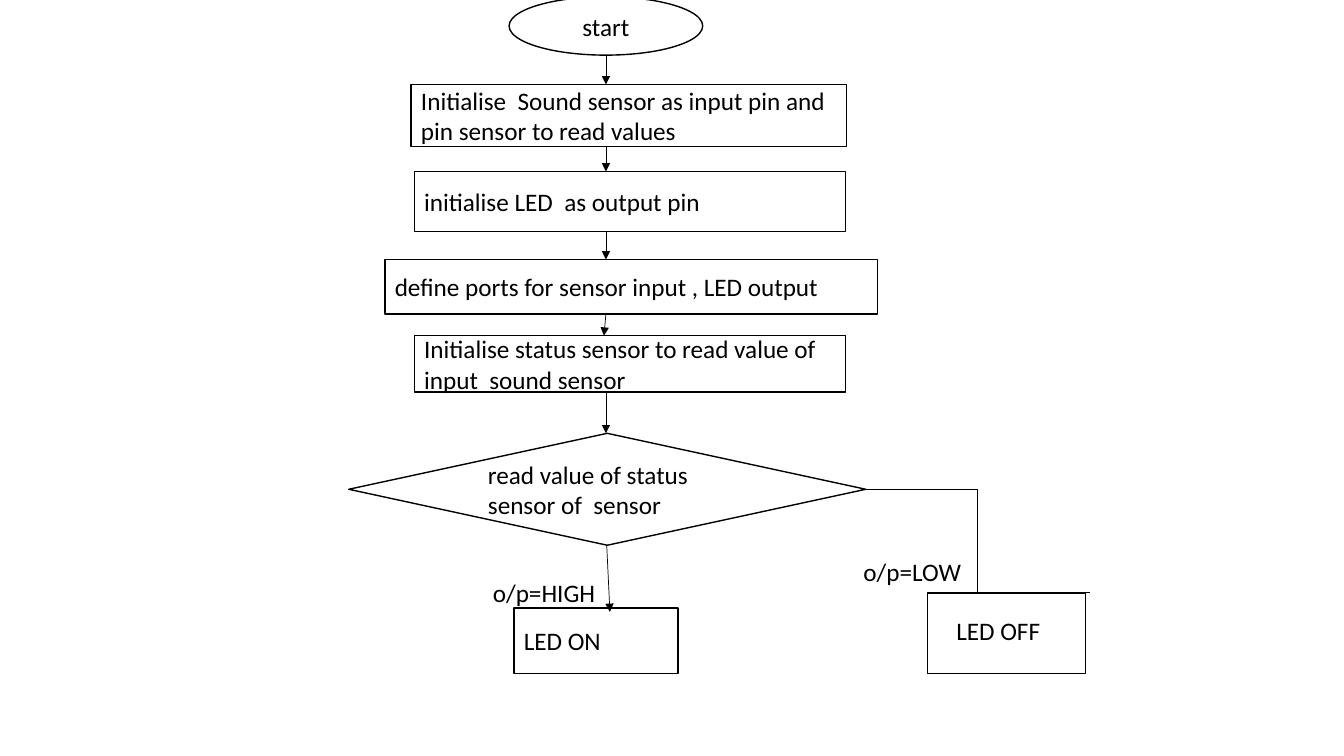
from itertools import pairwise

from lxml.etree import SubElement
from pptx import Presentation
from pptx.dml.color import RGBColor
from pptx.enum.shapes import MSO_CONNECTOR, MSO_SHAPE
from pptx.enum.text import MSO_ANCHOR, MSO_AUTO_SIZE, PP_ALIGN
from pptx.oxml.ns import qn
from pptx.util import Cm, Pt

COLOURS = {"ink": "000000", "paper": "FFFFFF"}
CENTRE_LINE = 15.27

# Shape, text, (left, top, width, height) in cm, x where the incoming arrow lands
STEPS = [
    (MSO_SHAPE.OVAL, "start", (12.83, -0.08, 4.88, 1.47), None),
    (MSO_SHAPE.RECTANGLE, "Initialise  Sound sensor as input pin and pin sensor to read values",
     (10.36, 2.13, 10.97, 1.57), CENTRE_LINE),
    (MSO_SHAPE.RECTANGLE, "initialise LED  as output pin",
     (10.44, 4.32, 10.87, 1.52), CENTRE_LINE),
    (MSO_SHAPE.RECTANGLE, "define ports for sensor input , LED output",
     (9.7, 6.54, 12.42, 1.37), CENTRE_LINE),
    (MSO_SHAPE.RECTANGLE, "Initialise status sensor to read value of input  sound sensor",
     (10.44, 8.46, 10.87, 1.42), 15.22),
    (MSO_SHAPE.DIAMOND, "read value of status sensor of  sensor",
     (8.79, 10.92, 13.03, 2.82), CENTRE_LINE),
]
LABELS = [
    ("o/p=HIGH", (12.17, 14.43, 3.12, 1.02)),
    ("o/p=LOW", (21.51, 13.89, 3, 1.02)),
    ("LED OFF", (23.85, 15.39, 2.64, 1.02)),
]


class Flowchart:
    def __init__(self, page, font="Calibri", size=18):
        self.page = page
        self.font = font
        self.size = size

    def colour(self, name):
        return RGBColor.from_string(COLOURS[name])

    def set_text(self, frame, text, alignment=PP_ALIGN.LEFT):
        frame.text = text
        para = frame.paragraphs[0]
        para.alignment = alignment
        para.font.name = self.font
        para.font.size = Pt(self.size)
        para.font.color.rgb = self.colour("ink")

    def node(self, kind, place, text="", filled=True):
        box = self.page.shapes.add_shape(kind, *map(Cm, place))
        box.shadow.inherit = False
        if filled:
            box.fill.solid()
            box.fill.fore_color.rgb = self.colour("paper")
        else:
            box.fill.background()
        box.line.color.rgb = self.colour("ink")
        box.line.width = Pt(1)
        if text:
            box.text_frame.vertical_anchor = MSO_ANCHOR.MIDDLE
            centred = kind == MSO_SHAPE.OVAL
            self.set_text(box.text_frame, text, PP_ALIGN.CENTER if centred else PP_ALIGN.LEFT)

    def link(self, start, end, kind=MSO_CONNECTOR.STRAIGHT, arrow=True):
        connector = self.page.shapes.add_connector(kind, *map(Cm, (*start, *end)))
        connector.line.color.rgb = self.colour("ink")
        connector.line.width = Pt(0.5)
        properties = connector.element.spPr
        if arrow:
            SubElement(properties.find(qn("a:ln")), qn("a:tailEnd"), type="triangle")
        SubElement(properties, qn("a:effectLst"))

    def label(self, text, place):
        box = self.page.shapes.add_textbox(*map(Cm, place))
        box.text_frame.word_wrap = False
        box.text_frame.auto_size = MSO_AUTO_SIZE.SHAPE_TO_FIT_TEXT
        self.set_text(box.text_frame, text)


def main():
    deck = Presentation()
    deck.slide_width, deck.slide_height = Cm(33.87), Cm(19.05)
    chart = Flowchart(deck.slides.add_slide(deck.slide_layouts[6]))

    for kind, text, place, _ in STEPS:
        chart.node(kind, place, text)
    for (_, _, above, _), (_, _, below, landing) in pairwise(STEPS):
        chart.link((CENTRE_LINE, above[1] + above[3]), (landing, below[1]))

    chart.node(MSO_SHAPE.RECTANGLE, (12.95, 15.32, 4.14, 1.65), "LED ON")
    chart.link((15.29, 13.74), (15.37, 15.42))
    chart.link((21.8, 12.32), (27.48, 14.94), MSO_CONNECTOR.ELBOW, arrow=False)
    chart.node(MSO_SHAPE.RECTANGLE, (23.37, 14.94, 3.99, 2.03), filled=False)

    for text, place in LABELS:
        chart.label(text, place)
    deck.save("out.pptx")


if __name__ == "__main__":
    main()
